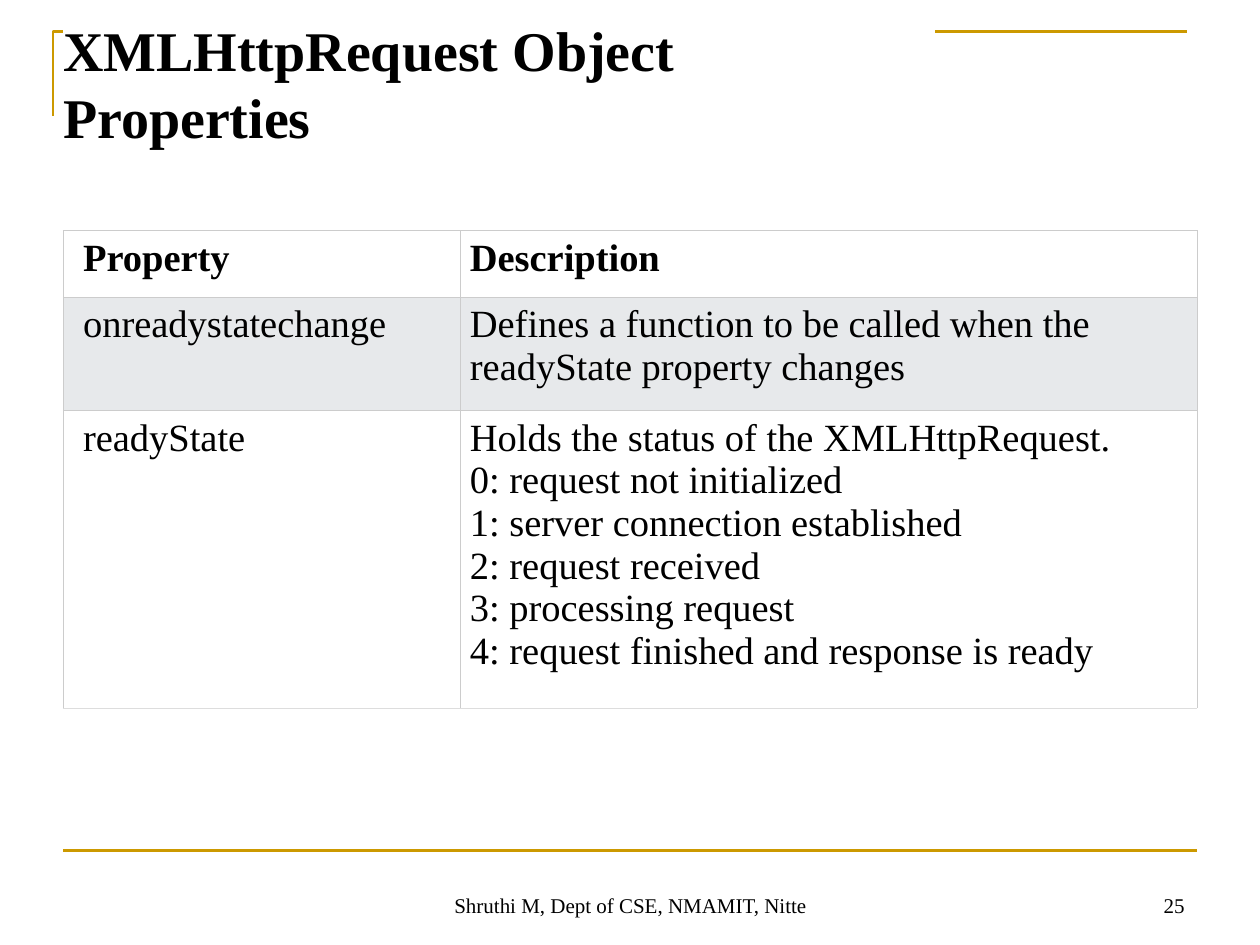
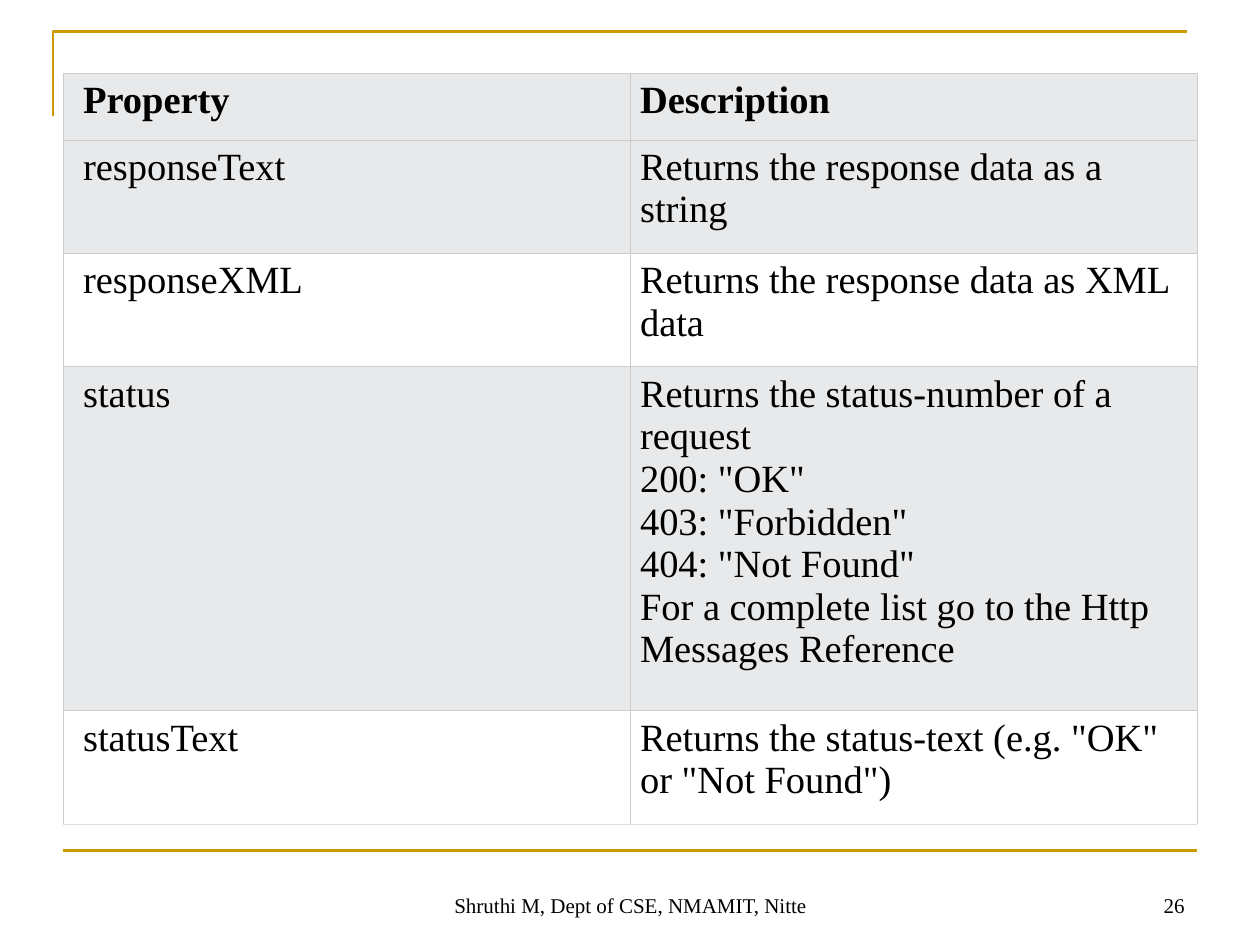
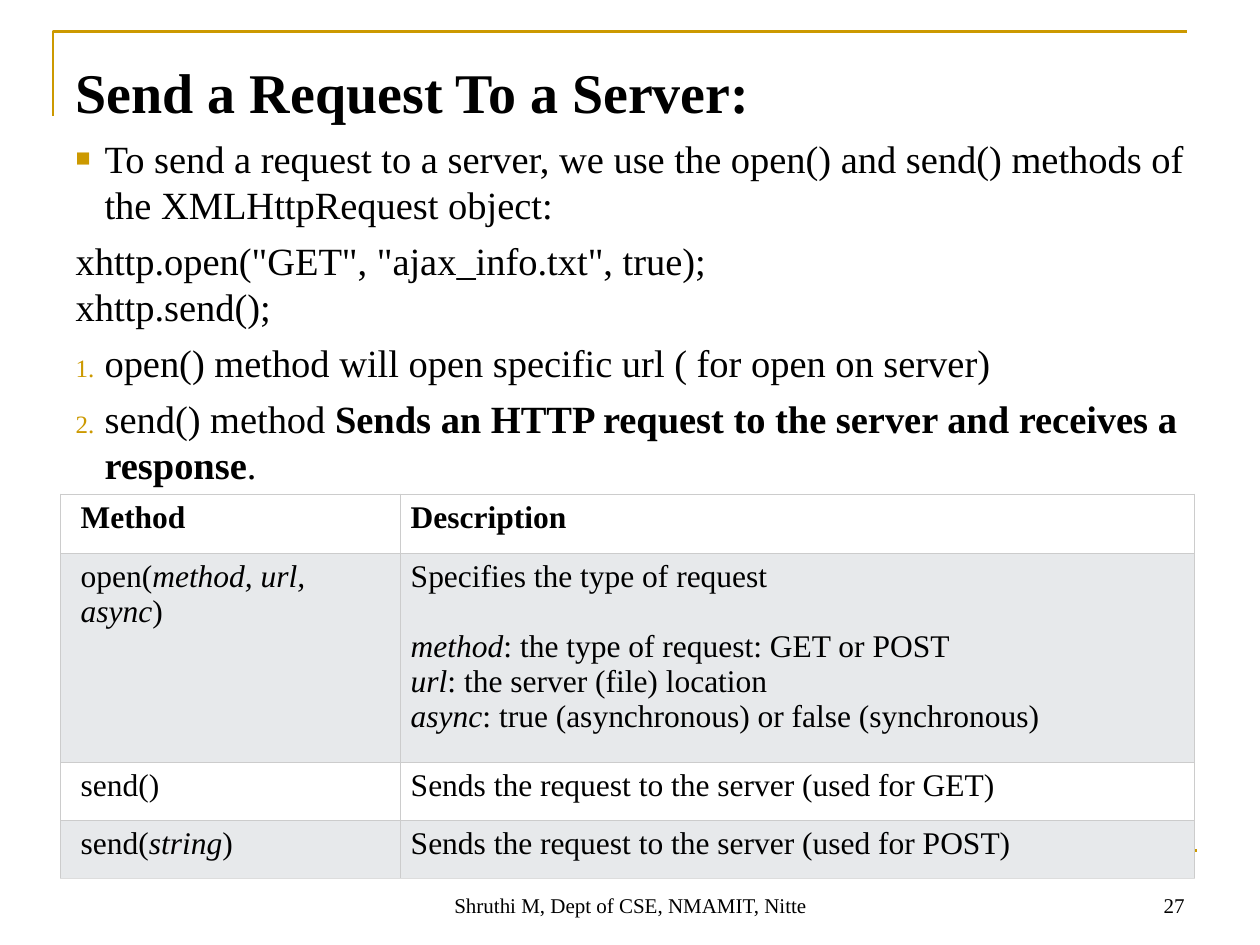
from lxml import etree
from pptx import Presentation
from pptx.dml.color import RGBColor
from pptx.enum.shapes import MSO_CONNECTOR
from pptx.enum.text import MSO_ANCHOR, MSO_AUTO_SIZE, PP_ALIGN
from pptx.oxml.ns import qn
from pptx.util import Inches, Pt

GOLD = RGBColor(0xCC, 0x99, 0x00)
BLACK = RGBColor(0x00, 0x00, 0x00)
WHITE = RGBColor(0xFF, 0xFF, 0xFF)
GREY = RGBColor(0xE7, 0xE9, 0xEB)
BORDER = RGBColor(0xCC, 0xCC, 0xCC)
BOTTOM_BORDER = RGBColor(0xDD, 0xDD, 0xDD)
FONT = "Times New Roman"
FOOTER = "Shruthi M, Dept of CSE, NMAMIT, Nitte"
FIRST_NUMBER = 25


def write(paragraph, text, size, bold=False, emphasis="italic"):
    """Fill a paragraph; parts between asterisks get the emphasis."""
    for line_no, line in enumerate(text.split("\n")):
        if line_no:
            paragraph.add_line_break()
        for part_no, part in enumerate(line.split("*")):
            if part:
                run = paragraph.add_run()
                run.text = part
                run.font.name = FONT
                run.font.size = Pt(size)
                run.font.color.rgb = BLACK
                run.font.bold = bold
                if part_no % 2:
                    setattr(run.font, emphasis, True)


def add_grid(slide, left, top, widths, heights, rows, fills, size):
    """Add a bordered table whose first row is bold."""
    table = slide.shapes.add_table(
        len(rows), len(widths), Inches(left), Inches(top),
        Inches(sum(widths)), Inches(sum(heights))).table
    table.first_row = table.horz_banding = False
    for column, width in zip(table.columns, widths):
        column.width = Inches(width)
    for r, (height, row, fill) in enumerate(zip(heights, rows, fills)):
        table.rows[r].height = Inches(height)
        for c, text in enumerate(row):
            cell = table.cell(r, c)
            cell.margin_left = Inches(0.08 if c else 0.16)
            cell.margin_right = Inches(0.08)
            cell.margin_top = cell.margin_bottom = Inches(0.05)
            for block_no, block in enumerate(text.split("\n\n")):
                frame = cell.text_frame
                paragraph = frame.add_paragraph() if block_no else frame.paragraphs[0]
                paragraph.space_before = Pt(20 if block_no else 0)
                write(paragraph, block, size, bold=r == 0)
            properties = cell._tc.get_or_add_tcPr()
            for side in ("lnL", "lnR", "lnT", "lnB"):
                is_last = side == "lnB" and r == len(rows) - 1
                line = etree.SubElement(properties, qn(f"a:{side}"), w=str(Pt(0.34)))
                solid = etree.SubElement(line, qn("a:solidFill"))
                etree.SubElement(solid, qn("a:srgbClr"),
                                 val=str(BOTTOM_BORDER if is_last else BORDER))
            cell.fill.solid()
            cell.fill.fore_color.rgb = fill


prs = Presentation()
prs.slide_width, prs.slide_height = Inches(10), Inches(7.5)
properties_slide, response_slide, request_slide = [
    prs.slides.add_slide(prs.slide_layouts[number]) for number in (5, 6, 1)]

# Gold frame, moved to the master so that every slide shows it
builder = response_slide.shapes.build_freeform(Inches(0.42), Inches(0.92))
builder.add_line_segments(
    [(Inches(0.42), Inches(0.25)), (Inches(9.42), Inches(0.25))], close=False)
corner = builder.convert_to_shape()
corner.fill.background()
corner.shadow.inherit = False
rule = response_slide.shapes.add_connector(
    MSO_CONNECTOR.STRAIGHT, Inches(0.5), Inches(6.75), Inches(9.5), Inches(6.75))
etree.SubElement(rule.element.spPr, qn("a:effectLst"))
for frame_part in (corner, rule):
    frame_part.line.color.rgb = GOLD
    frame_part.line.width = Pt(1.5)
    prs.slide_master.shapes.element.append(frame_part.element)

# Footer and slide number
for number, slide in enumerate(prs.slides, FIRST_NUMBER):
    for left, width, text, align in (
            (3.42, 3.17, FOOTER, PP_ALIGN.CENTER),
            (7.17, 2.33, str(number), PP_ALIGN.RIGHT)):
        footer = slide.shapes.add_textbox(
            Inches(left), Inches(6.83), Inches(width), Inches(0.5)).text_frame
        footer.word_wrap = True
        footer.vertical_anchor = MSO_ANCHOR.BOTTOM
        footer.paragraphs[0].alignment = align
        write(footer.paragraphs[0], text, 12)

# Titles
for slide, text, box, insets in (
        (properties_slide, "XMLHttpRequest Object Properties",
         (0.5, 0.03, 6.92, 1.8), (0, 0.09, 0.1)),
        (request_slide, "Send a Request To a Server:",
         (0.5, 0.42, 9, 0.65), (0.1, 0.04, 0.1))):
    title = slide.shapes.title
    title.left, title.top, title.width, title.height = map(Inches, box)
    frame = title.text_frame
    frame.margin_left, frame.margin_top, frame.margin_right = map(Inches, insets)
    frame.margin_bottom = 0
    frame.auto_size = MSO_AUTO_SIZE.NONE
    frame.vertical_anchor = MSO_ANCHOR.TOP
    frame.paragraphs[0].alignment = PP_ALIGN.LEFT
    write(frame.paragraphs[0], text, 32, bold=True)
properties_slide.shapes.title.fill.solid()
properties_slide.shapes.title.fill.fore_color.rgb = WHITE

# Slide 1: state properties
add_grid(properties_slide, 0.5, 1.83, (3.15, 5.85), (0.53, 0.9, 2.36), (
    ("Property", "Description"),
    ("onreadystatechange",
     "Defines a function to be called when the readyState property changes"),
    ("readyState",
     "Holds the status of the XMLHttpRequest.\n0: request not initialized\n"
     "1: server connection established\n2: request received\n"
     "3: processing request\n4: request finished and response is ready"),
), (WHITE, GREY, WHITE), 22)

# Slide 2: response properties
add_grid(response_slide, 0.5, 0.58, (4.5, 4.5), (0.53, 0.9, 0.9, 2.73, 0.9), (
    ("Property", "Description"),
    ("responseText", "Returns the response data as a string"),
    ("responseXML", "Returns the response data as XML data"),
    ("status",
     'Returns the status-number of a request\n200: "OK"\n403: "Forbidden"\n'
     '404: "Not Found"\nFor a complete list go to the Http Messages Reference'),
    ("statusText", 'Returns the status-text (e.g. "OK" or "Not Found")'),
), (GREY, GREY, WHITE, GREY, WHITE), 22)

# Slide 3: steps of a request
steps = request_slide.placeholders[1]
steps.left, steps.top, steps.width, steps.height = map(Inches, (0.5, 1.07, 9, 2.82))
steps_frame = steps.text_frame
steps_frame.margin_top = steps_frame.margin_bottom = 0
steps_frame.margin_right = Inches(0.05)
steps_frame.auto_size = MSO_AUTO_SIZE.NONE
for step_no, (marker, text) in enumerate((
        ("buChar", "To send a request to a server, we use the open() and send() "
                   "methods of the XMLHttpRequest object:"),
        ("buNone", 'xhttp.open("GET", "ajax_info.txt", true);\nxhttp.send();'),
        ("buAutoNum", "open() method will open specific url ( for open on server)"),
        ("buAutoNum", "send() method *Sends an HTTP request to the server and "
                      "receives a response*."))):
    step = steps_frame.add_paragraph() if step_no else steps_frame.paragraphs[0]
    write(step, text, 22, emphasis="bold")
    step.space_before = Pt(5.5 if step_no else 0)
    indent = 0 if marker == "buNone" else Inches(0.23)
    step_properties = step._p.get_or_add_pPr()
    step_properties.set("marL", str(indent))
    step_properties.set("indent", str(-indent))
    if indent:
        colour = etree.SubElement(step_properties, qn("a:buClr"))
        etree.SubElement(colour, qn("a:srgbClr"), val=str(GOLD))
        etree.SubElement(step_properties, qn("a:buSzPct"), val="65000")
        etree.SubElement(step_properties, qn("a:buFont"), typeface=FONT)
    bullet = etree.SubElement(step_properties, qn(f"a:{marker}"))
    if marker == "buChar":
        bullet.set("char", "■")
    elif marker == "buAutoNum":
        bullet.set("type", "arabicPeriod")

# Slide 3: request methods
add_grid(request_slide, 0.48, 3.92, (2.7, 6.3), (0.47, 1.66, 0.46, 0.46), (
    ("Method", "Description"),
    ("open(*method, url, async*)",
     "Specifies the type of request\n\n*method*: the type of request: GET or POST\n"
     "*url*: the server (file) location\n"
     "*async*: true (asynchronous) or false (synchronous)"),
    ("send()", "Sends the request to the server (used for GET)"),
    ("send(*string*)", "Sends the request to the server (used for POST)"),
), (WHITE, GREY, WHITE, GREY), 18)

prs.save("out.pptx")
